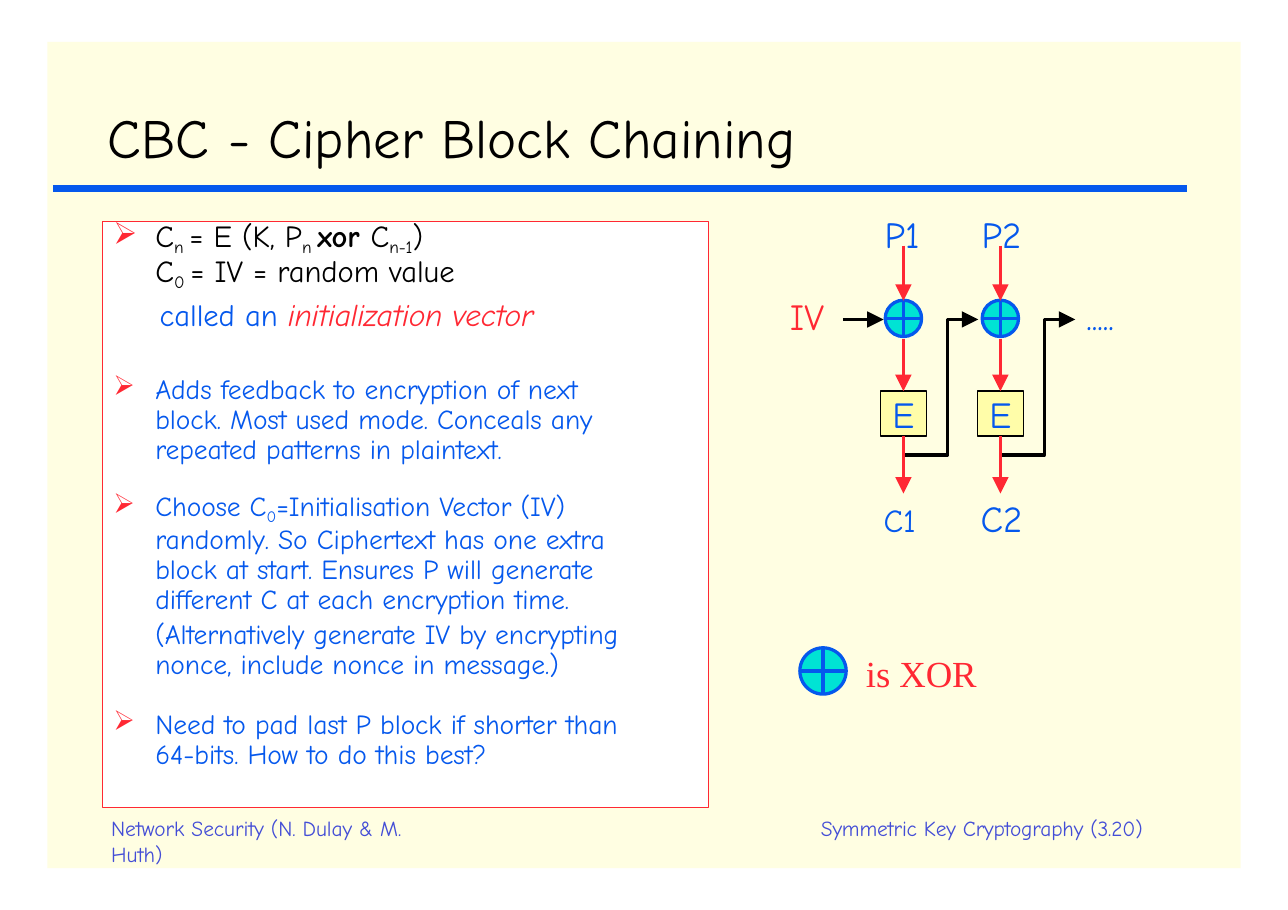
from pptx import Presentation
from pptx import util as u
from pptx.dml.color import RGBColor
from pptx.enum import shapes, text
from pptx.oxml.ns import qn
from lxml import etree

COLORS = {"page": "FFFEE2", "white": "FFFFFF", "black": "000000", "blue": "0558ED",
          "red": "FF2833", "teal": "00E3D4", "yellow": "FFFDA9", "violet": "434DD6"}
FONT = "Comic Neue"
SUB = {"size": 19.5, "base": -21}
FORMULA = [
    [("C", {}), ("n ", SUB), ("= E (K, P", {}), ("n ", SUB), ("xor ", {"bold": True}),
     ("C", {}), ("n-1", SUB), (")", {})],
    [("C", {}), ("0 ", SUB), ("= IV = random value", {})],
]
CALLED = [("called an ", {"color": "blue"}),
          ("initialization vector", {"color": "red", "size": 20.5, "italic": True, "spc": -0.2})]
NOTES = [
    (1.4, [[("Adds feedback to encryption of next block. Most used mode. "
             "Conceals any repeated patterns in plaintext.", {})]]),
    (2.49, [[("Choose C", {}), ("0", {"base": -23}),
             ("=Initialisation Vector (IV) randomly. So Ciphertext has one extra block at start. "
              "Ensures P will generate different C at each encryption time.", {})],
            [("(Alternatively generate IV by encrypting nonce, include nonce in message.)", {})]]),
    (4.44, [[("Need to pad last P block if shorter than 64-bits. "
              "How to do this best?", {})]]),
]


def rgb(name):
    return RGBColor.from_string(COLORS[name])


def add_run(p, words, size, color="blue", font=FONT, base=0, spc=-0.05, bold=False, italic=False):
    r = p.add_run()
    r.text = words
    f = r.font
    f.name, f.size, f.bold, f.italic = font, u.Pt(size), bold, italic
    f.color.rgb = rgb(color)
    rpr = r._r.get_or_add_rPr()
    rpr.set("spc", str(round(spc * 100)))
    if base:
        rpr.set("baseline", str(base * 1000))


def add_textbox(s, x, y, w, h, wrap=False):
    tf = s.shapes.add_textbox(u.Inches(x), u.Inches(y), u.Inches(w), u.Inches(h)).text_frame
    tf.word_wrap = wrap
    tf.margin_left = tf.margin_right = tf.margin_top = tf.margin_bottom = 0
    return tf


def label(s, x, y, words, size=24, w=0.45, **style):
    add_run(add_textbox(s, x, y, w, 0.42).paragraphs[0], words, size, **style)


def indent(p, left, hanging=0.0, bullet=False):
    ppr = p._p.get_or_add_pPr()
    ppr.set("marL", str(u.Inches(left)))
    ppr.set("indent", str(u.Inches(hanging)))
    if bullet:
        clr = etree.SubElement(ppr, qn("a:buClr"))
        etree.SubElement(clr, qn("a:srgbClr")).set("val", COLORS["red"])
        etree.SubElement(ppr, qn("a:buChar")).set("char", "➢")


def block(s, x, y, w, h, paragraphs, size, color, spacing, before):
    tf = add_textbox(s, x, y, w, h, wrap=True)
    for i, runs in enumerate(paragraphs):
        p = tf.add_paragraph() if i else tf.paragraphs[0]
        indent(p, 0.39, 0 if i else -0.38, bullet=not i)
        p.line_spacing = u.Pt(spacing)
        if i:
            p.space_before = u.Pt(before)
        for words, style in runs:
            add_run(p, words, **{"size": size, "color": color, **style})
    return tf


def shape(s, kind, x, y, w, h, fill, line=None, width=1.0):
    sp = s.shapes.add_shape(kind, u.Inches(x), u.Inches(y), u.Inches(w), u.Inches(h))
    sp.shadow.inherit = False
    sp.fill.solid()
    sp.fill.fore_color.rgb = rgb(fill)
    if line:
        sp.line.color.rgb = rgb(line)
        sp.line.width = u.Pt(width)
    else:
        sp.line.fill.background()
    return sp


def arrowhead(sp):
    tail = etree.SubElement(sp.line._get_or_add_ln(), qn("a:tailEnd"))
    for key, value in (("type", "triangle"), ("w", "lg"), ("len", "lg")):
        tail.set(key, value)


def connector(s, x1, y1, x2, y2, color, width=2.16, head=True):
    c = s.shapes.add_connector(shapes.MSO_CONNECTOR.STRAIGHT, u.Inches(x1), u.Inches(y1),
                               u.Inches(x2), u.Inches(y2))
    c.line.color.rgb = rgb(color)
    c.line.width = u.Pt(width)
    etree.SubElement(c._element.spPr, qn("a:effectLst"))
    if head:
        arrowhead(c)
    return c


def xor_symbol(s, cx, cy, size):
    shape(s, shapes.MSO_SHAPE.FLOWCHART_OR, cx - size / 2, cy - size / 2, size, size,
          "teal", "blue", 2.16)


def page_frame(s, x, y, w, h):
    shape(s, shapes.MSO_SHAPE.RECTANGLE, x, y, w, h, "page")
    connector(s, x + 0.05, y + 1.33, x + 10.34, y + 1.33, "blue", 4.08, head=False)
    label(s, x + 0.55, y + 0.56, "CBC - Cipher Block Chaining", 36, w=9.75, color="black", spc=0)
    label(s, x + 7.02, y + 7.02, "Symmetric Key Cryptography (3.20)", 14, w=3.29,
          color="violet", spc=-0.1)
    p = add_textbox(s, x + 0.58, y + 7.02, 2.8, 0.45, wrap=True).paragraphs[0]
    p.line_spacing = u.Pt(16.8)
    add_run(p, "Network Security (N. Dulay & M. Huth)", 14, color="violet")


def notes_panel(s, x, y, w, h):
    shape(s, shapes.MSO_SHAPE.RECTANGLE, x, y, w, h, "white", "red", 0.96)
    left, width = x + 0.09, 4.73
    tf = block(s, left, y + 0.01, width, 1.02, FORMULA, 20, "black", 22.8, 0)
    p = tf.add_paragraph()
    indent(p, 0.43)
    p.space_before = u.Pt(1.9)
    for words, style in CALLED:
        add_run(p, words, **{"size": 20, **style})
    for top, paragraphs in NOTES:
        block(s, left, y + top, width, 0.83, paragraphs, 18, "blue", 19.5, 3.6)


def cipher_stage(s, cx, y, number, cipher_size):
    xor_y, feed_y = y + 0.98, y + 2.21
    label(s, cx - 0.17, y, f"P{number}")
    xor_symbol(s, cx, xor_y - 0.01, 0.33)
    box = shape(s, shapes.MSO_SHAPE.RECTANGLE, cx - 0.21, y + 1.63, 0.42, 0.41,
                "yellow", "black", 0.96)
    tf = box.text_frame
    tf.margin_left = tf.margin_right = tf.margin_top = tf.margin_bottom = 0
    tf.vertical_anchor = text.MSO_ANCHOR.MIDDLE
    p = tf.paragraphs[0]
    p.alignment = text.PP_ALIGN.CENTER
    add_run(p, "E", 24)
    fb = s.shapes.build_freeform(u.Inches(cx), u.Inches(feed_y))
    fb.add_line_segments([(u.Inches(px), u.Inches(py)) for px, py in
                          ((cx + 0.4, feed_y), (cx + 0.4, xor_y), (cx + 0.68, xor_y))],
                         close=False)
    feedback = fb.convert_to_shape()
    feedback.shadow.inherit = False
    feedback.fill.background()
    feedback.line.color.rgb = rgb("black")
    feedback.line.width = u.Pt(2.16)
    arrowhead(feedback)
    connector(s, cx, y + 0.31, cx, y + 0.81, "red")
    connector(s, cx, y + 1.16, cx, y + 1.63, "red").end_connect(box, 0)
    connector(s, cx, y + 2.04, cx, y + 2.56, "red").begin_connect(box, 2)
    label(s, cx - 0.18, y + 2.58 + (24 - cipher_size) / 72, f"C{number}", cipher_size)


def chaining_diagram(s, x, y):
    label(s, x, y + 0.75, "IV", color="red")
    connector(s, x + 0.48, y + 0.98, x + 0.85, y + 0.98, "black")
    for i, cipher_size in enumerate((21, 24)):
        cipher_stage(s, x + 1.03 + 0.88 * i, y, i + 1, cipher_size)
    label(s, x + 2.69, y + 0.75, ".....")


def legend(s, x, y):
    xor_symbol(s, x + 0.21, y + 0.21, 0.42)
    label(s, x + 0.6, y + 0.03, "is XOR", w=1.04, color="red", font="Times New Roman")


def main():
    prs = Presentation()
    prs.slide_width, prs.slide_height = u.Inches(11.69), u.Inches(8.26)
    s = prs.slides.add_slide(prs.slide_layouts[6])
    page_frame(s, 0.43, 0.38, 10.83, 7.5)
    notes_panel(s, 0.93, 2.01, 5.5, 5.32)
    chaining_diagram(s, 7.17, 1.92)
    legend(s, 7.26, 5.88)
    prs.save("out.pptx")


if __name__ == "__main__":
    main()
